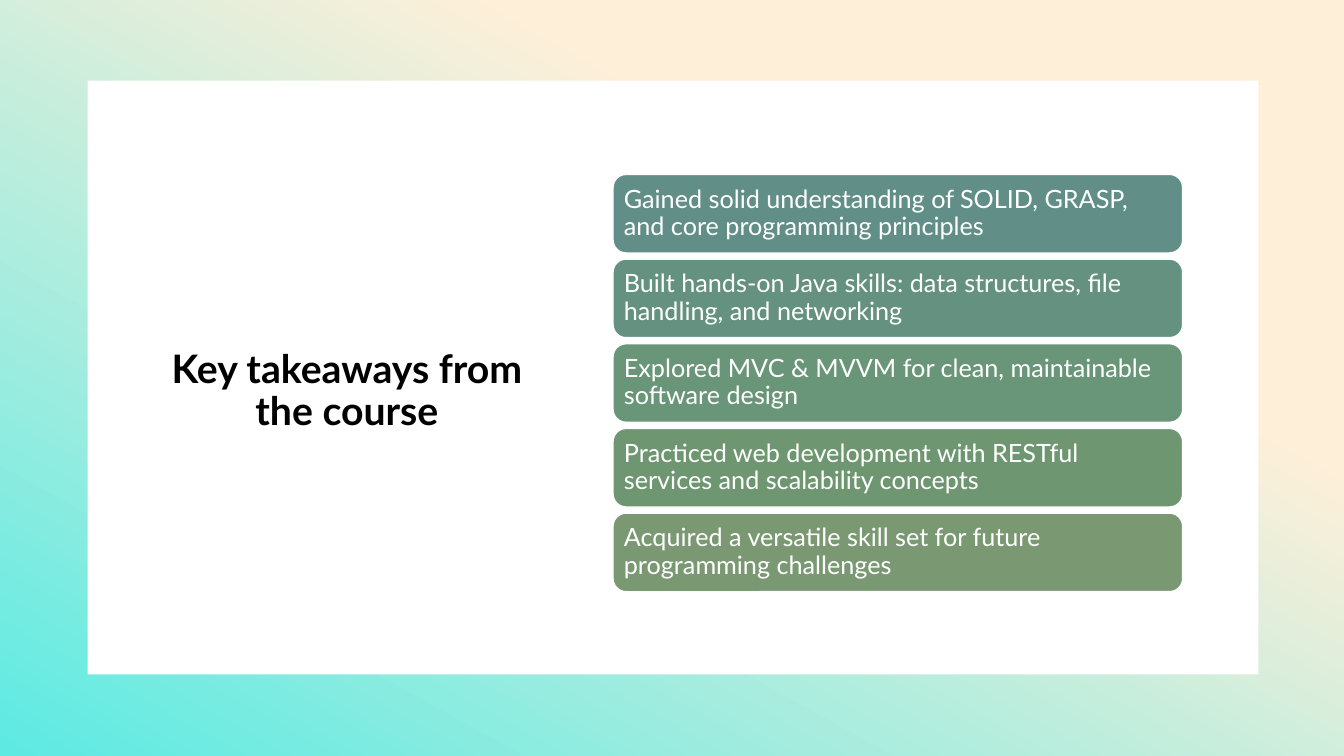
import dataclasses

import pptx
import pptx.dml.color
import pptx.enum.shapes
import pptx.enum.text
import pptx.util
from pptx.util import Inches

FONT = "Lato"
COLORS = {
    "cream": "FEEFD9",
    "turquoise": "58EAE3",
    "white": "FFFFFF",
    "black": "000000",
}
CARD_LEFT, CARD_TOP, CARD_WIDTH, CARD_HEIGHT = 6.08, 1.73, 5.65, 0.78
CARD_PITCH = 0.84


@dataclasses.dataclass(frozen=True)
class Takeaway:
    text: str
    fill: str


TAKEAWAYS = [
    Takeaway("Gained solid understanding of SOLID, GRASP, and core programming principles", "618F88"),
    Takeaway("Built hands-on Java skills: data structures, file handling, and networking", "659280"),
    Takeaway("Explored MVC & MVVM for clean, maintainable software design", "699578"),
    Takeaway("Practiced web development with RESTful services and scalability concepts", "6E9771"),
    Takeaway("Acquired a versatile skill set for future programming challenges", "7A9973"),
]


def rgb(value: str) -> pptx.dml.color.RGBColor:
    return pptx.dml.color.RGBColor.from_string(value)


def add_box(
    slide: pptx.slide.Slide,
    kind: pptx.enum.shapes.MSO_SHAPE,
    left: float,
    top: float,
    width: float,
    height: float,
) -> pptx.shapes.autoshape.Shape:
    """Add a preset shape, measured in inches, with no shadow or outline."""
    shape = slide.shapes.add_shape(kind, Inches(left), Inches(top), Inches(width), Inches(height))
    shape.shadow.inherit = False
    shape.line.fill.background()
    return shape


def fill_solid(shape: pptx.shapes.autoshape.Shape, color: str) -> None:
    shape.fill.solid()
    shape.fill.fore_color.rgb = rgb(color)


def write_text(
    shape: pptx.shapes.autoshape.Shape,
    text: str,
    size: int,
    color: str,
    bold: bool,
    alignment: pptx.enum.text.PP_ALIGN,
    anchor: pptx.enum.text.MSO_ANCHOR,
) -> None:
    frame = shape.text_frame
    frame.text = text
    frame.word_wrap = True
    frame.auto_size = pptx.enum.text.MSO_AUTO_SIZE.NONE
    frame.vertical_anchor = anchor
    paragraph = frame.paragraphs[0]
    paragraph.alignment = alignment
    paragraph.line_spacing = 0.9
    font = paragraph.runs[0].font
    font.name = FONT
    font.size = pptx.util.Pt(size)
    font.bold = bold
    font.color.rgb = rgb(color)


def add_backdrop(slide: pptx.slide.Slide) -> None:
    backdrop = add_box(slide, pptx.enum.shapes.MSO_SHAPE.RECTANGLE, -0.06, -0.12, 13.46, 7.73)
    backdrop.rotation = 359
    backdrop.fill.gradient()
    backdrop.fill.gradient_angle = 240
    stops = [(0.32, COLORS["cream"]), (1.0, COLORS["turquoise"])]
    for stop, (position, color) in zip(backdrop.fill.gradient_stops, stops):
        stop.position = position
        stop.color.rgb = rgb(color)


def add_panel(slide: pptx.slide.Slide) -> pptx.shapes.autoshape.Shape:
    panel = add_box(slide, pptx.enum.shapes.MSO_SHAPE.RECTANGLE, 0.87, 0.8, 11.61, 5.89)
    fill_solid(panel, COLORS["white"])
    return panel


def place_title(slide: pptx.slide.Slide, panel: pptx.shapes.autoshape.Shape) -> None:
    """Format the title placeholder and stack it in front of the panel."""
    title = slide.shapes.title
    title.left, title.top = Inches(1.54), Inches(2.98)
    title.width, title.height = Inches(3.8), Inches(1.38)
    write_text(
        title, "Key takeaways from the course", 28, COLORS["black"], True,
        pptx.enum.text.PP_ALIGN.CENTER, pptx.enum.text.MSO_ANCHOR.BOTTOM,
    )
    panel.element.addnext(title.element)


def add_card(slide: pptx.slide.Slide, takeaway: Takeaway, top: float) -> None:
    card = add_box(
        slide, pptx.enum.shapes.MSO_SHAPE.ROUNDED_RECTANGLE,
        CARD_LEFT, top, CARD_WIDTH, CARD_HEIGHT,
    )
    fill_solid(card, takeaway.fill)
    card.line.color.rgb = rgb(COLORS["white"])
    card.line.width = pptx.util.Pt(1)
    write_text(
        card, takeaway.text, 18, COLORS["white"], False,
        pptx.enum.text.PP_ALIGN.LEFT, pptx.enum.text.MSO_ANCHOR.MIDDLE,
    )
    frame = card.text_frame
    frame.margin_left = frame.margin_right = Inches(0.07)
    frame.margin_top = frame.margin_bottom = Inches(0.07)


def main() -> None:
    presentation = pptx.Presentation()
    presentation.slide_width = Inches(13.33)
    presentation.slide_height = Inches(7.5)
    title_only = presentation.slide_layouts.get_by_name("Title Only")
    slide = presentation.slides.add_slide(title_only)
    add_backdrop(slide)
    panel = add_panel(slide)
    place_title(slide, panel)
    for index, takeaway in enumerate(TAKEAWAYS):
        add_card(slide, takeaway, CARD_TOP + index * CARD_PITCH)
    presentation.save("out.pptx")


if __name__ == "__main__":
    main()
